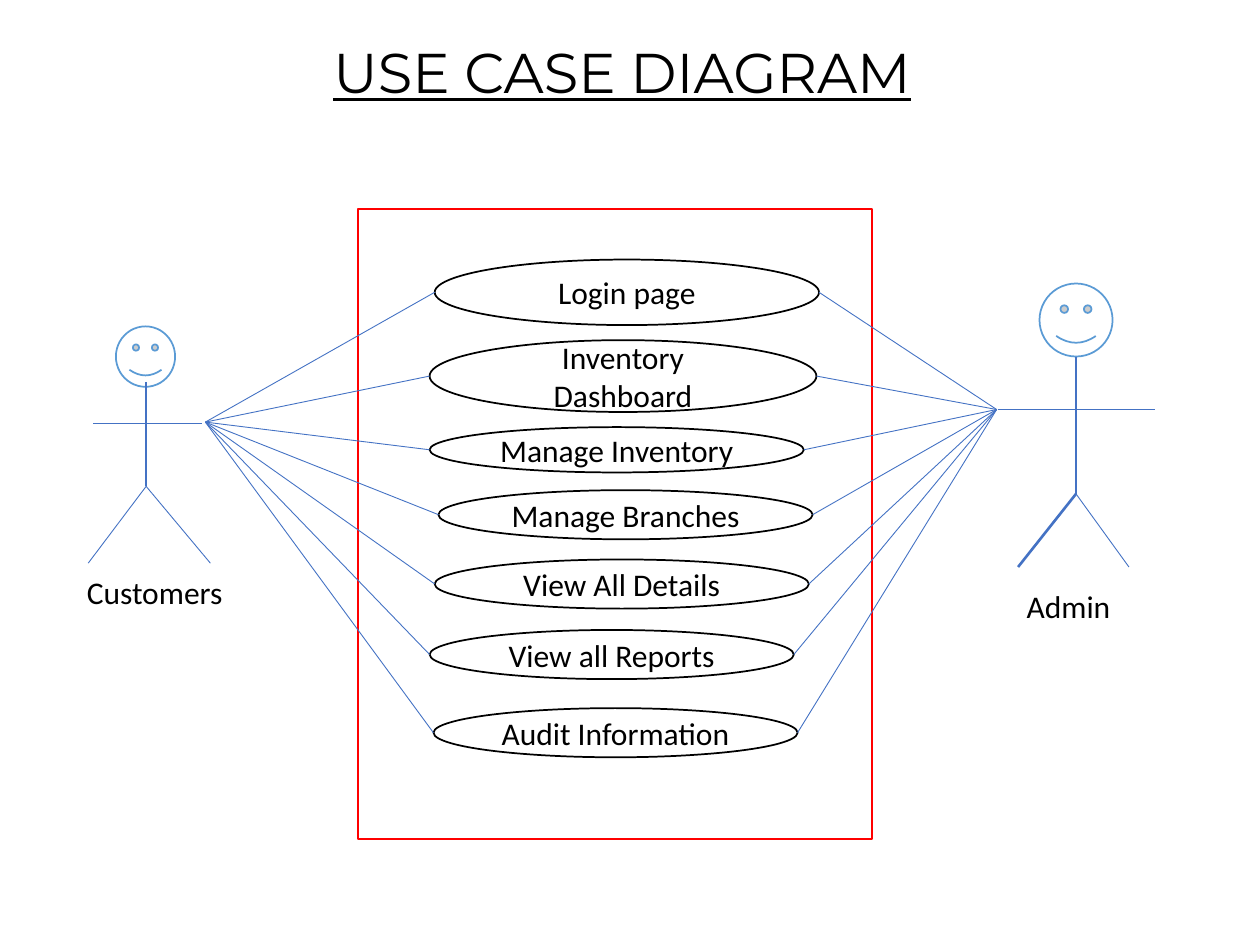
from pptx import Presentation
from pptx.dml.color import RGBColor
from pptx.enum.shapes import MSO_CONNECTOR, MSO_SHAPE
from pptx.enum.text import MSO_ANCHOR, MSO_AUTO_SIZE, PP_ALIGN
from pptx.oxml.ns import qn
from pptx.util import Emu, Pt
from lxml import etree

RECT, OVAL, SMILE = MSO_SHAPE.RECTANGLE, MSO_SHAPE.OVAL, MSO_SHAPE.SMILEY_FACE
STRAIGHT = MSO_CONNECTOR.STRAIGHT
MIDDLE = MSO_ANCHOR.MIDDLE
GROW = MSO_AUTO_SIZE.SHAPE_TO_FIT_TEXT
LEFT, CENTER = PP_ALIGN.LEFT, PP_ALIGN.CENTER
SCALE = 9144
BLACK, WHITE, RED = "000000", "FFFFFF", "FF0000"
BLUE, SKY = "4472C4", "5B9BD5"
THIN, BOLD = 0.5, 1.5


def px(*values):
    return [Emu(round(v * SCALE)) for v in values]


def color(code):
    return RGBColor.from_string(code)


class Sketch:
    def __init__(self, slide, font="Calibri", size=18):
        self.slide, self.font, self.size = slide, font, size

    def letter(self, frame, text, align, font=None, size=None, under=None):
        frame.word_wrap = True
        frame.text = text
        para = frame.paragraphs[0]
        para.alignment = align
        style = para.runs[0].font
        style.name = font or self.font
        style.size = Pt(size or self.size)
        style.underline = under
        style.color.rgb = color(BLACK)

    def label(self, box, text, align=LEFT, **style):
        frame = self.slide.shapes.add_textbox(*px(*box)).text_frame
        self.letter(frame, text, align, **style)
        frame.auto_size = GROW

    def shape(self, kind, box, edge, text=None):
        item = self.slide.shapes.add_shape(kind, *px(*box))
        item.shadow.inherit = False
        item.fill.solid()
        item.fill.fore_color.rgb = color(WHITE)
        item.line.color.rgb = color(edge)
        item.line.width = Pt(1)
        if text:
            item.text_frame.vertical_anchor = MIDDLE
            self.letter(item.text_frame, text, CENTER)

    def line(self, start, end, width=THIN):
        item = self.slide.shapes.add_connector(STRAIGHT, *px(*start, *end))
        item.line.color.rgb = color(BLUE)
        item.line.width = Pt(width)
        etree.SubElement(item._element.spPr, qn("a:effectLst"))

    def actor(self, head, neck, hip, arms, feet, leg=THIN):
        self.shape(SMILE, head, SKY)
        self.line(neck, hip, BOLD)
        self.line(hip, feet[0], leg)
        self.line(hip, feet[1])
        self.line(*arms)


CASES = [
    ("Login page", 345, 206, 305, 52),
    ("Inventory Dashboard", 341, 270, 307, 57),
    ("Manage Inventory", 341, 339, 297, 36),
    ("Manage Branches", 348, 389, 297, 39),
    ("View All Details", 345, 444, 297, 39),
    ("View all Reports", 341, 500, 289, 39),
    ("Audit Information", 344, 562, 289, 39),
]
BUYER, ADMIN = (163, 335), (791, 325)


def main():
    deck = Presentation()
    deck.slide_width, deck.slide_height = px(1000, 750)
    art = Sketch(deck.slides.add_slide(deck.slide_layouts[6]))

    art.label((71, 25, 846, 64), "USE CASE DIAGRAM", CENTER,
              font="Montserrat", size=32, under=True)
    art.shape(RECT, (284, 166, 408, 500), RED)
    art.actor((825, 225, 58, 58), (854, 283), (854, 392),
              ((792, 325), (917, 325)), ((808, 450), (896, 450)), BOLD)
    art.actor((92, 259, 47, 48), (116, 303), (116, 386),
              ((74, 336), (160, 336)), ((70, 447), (167, 447)))

    for text, x, y, w, h in CASES:
        art.shape(OVAL, (x, y, w, h), BLACK, text)
        art.line(BUYER, (x, y + h / 2))
        art.line(ADMIN, (x + w, y + h / 2))

    art.label((59, 450, 142, 40), "Customers")
    art.label((805, 461, 103, 40), "Admin")
    deck.save("out.pptx")


if __name__ == "__main__":
    main()
